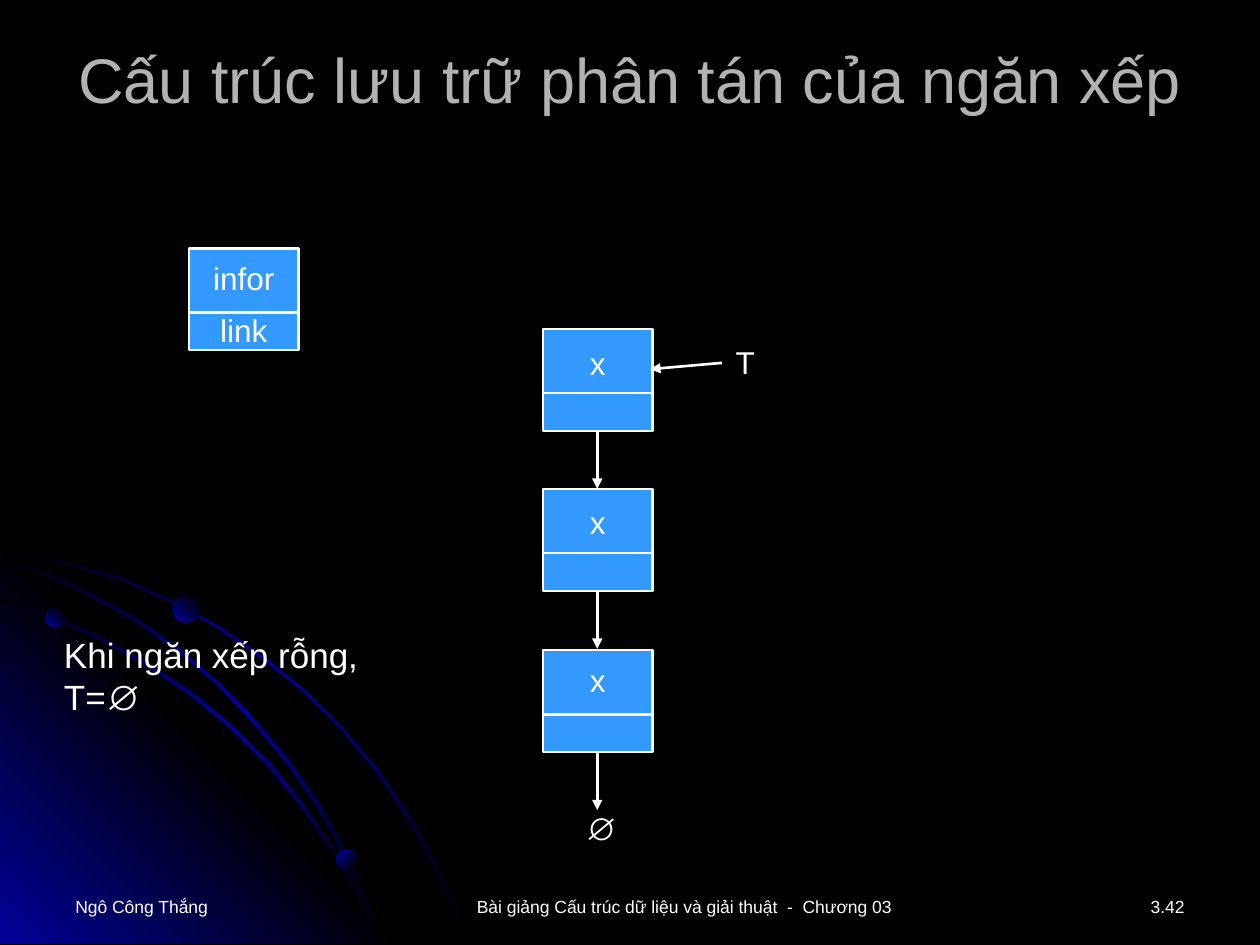
from lxml import etree
from pptx import Presentation
from pptx import util as u
from pptx.dml.color import RGBColor
from pptx.enum import shapes, text
from pptx.oxml.ns import qn

SCALE = 9144
FONT = "Arial"
COLORS = {"black": "000000", "navy": "010199", "node": "3399FF",
          "white": "FFFFFF", "title": "B2B2B2"}
NODE_WIDTH, INFO_HEIGHT, LINK_HEIGHT = 87, 51, 30
ARCS_BELOW = [
    [(57, 447), (28, 441), (0, 435), (0, 438), (28, 443), (56, 449), (97, 461),
     (135, 478), (173, 499), (208, 523), (241, 549), (271, 579), (298, 612),
     (323, 649), (337, 673), (350, 698), (360, 723), (370, 749), (372, 749),
     (362, 723), (352, 698), (339, 673), (325, 648), (300, 611), (272, 578),
     (242, 548), (209, 521), (174, 497), (136, 477), (98, 459)],
]
CORNER = [(322, 749), (0, 749), (0, 427)]
ARCS_ABOVE = [
    [(285, 714), (294, 732), (301, 749), (303, 749), (296, 730), (286, 712),
     (266, 676), (242, 640), (215, 606), (184, 576), (152, 549), (117, 526),
     (79, 505), (41, 488), (0, 475), (0, 477), (39, 490), (77, 507), (115, 528),
     (150, 551), (183, 578), (213, 608), (240, 642), (265, 677)],
    [(0, 442), (0, 444), (36, 457), (74, 475), (109, 494), (142, 518), (173, 544),
     (202, 575), (227, 605), (252, 641), (267, 667), (280, 694), (292, 722),
     (301, 749), (303, 749), (294, 720), (282, 693), (269, 665), (254, 639),
     (229, 603), (204, 573), (175, 543), (144, 516), (111, 493), (76, 473),
     (39, 455)],
]
ORBS = [(36, 483, 15, 315), (267, 674, 16, 45), (137, 473, 21, 315)]


def px(*lengths):
    """Turn px lengths into EMU."""
    return [u.Emu(length * SCALE) for length in lengths]


def rgb(name):
    """Look up a named colour."""
    return RGBColor.from_string(COLORS[name])


def fill_gradient(shape, names, angle):
    """Fill a shape with evenly spaced gradient stops and no outline."""
    shape.shadow.inherit = False
    shape.line.fill.background()
    shape.fill.gradient()
    gradient = shape.element.spPr.find(qn("a:gradFill"))
    gradient.clear()
    stops = etree.SubElement(gradient, qn("a:gsLst"))
    for index, name in enumerate(names):
        position = 100000 * index // (len(names) - 1)
        stop = etree.SubElement(stops, qn("a:gs"), pos=str(position))
        etree.SubElement(stop, qn("a:srgbClr"), val=COLORS[name])
    etree.SubElement(gradient, qn("a:lin"), ang=str(angle * 60000), scaled="0")


def add_outline(page, points, names, angle):
    """Draw a closed outline with a gradient fill."""
    builder = page.shapes.build_freeform(*points[0], scale=SCALE)
    builder.add_line_segments(points[1:], close=True)
    fill_gradient(builder.convert_to_shape(), names, angle)


def add_backdrop(page):
    """Draw the glowing corner with its arcs and orbs."""
    glow = ["black", "navy", "black"]
    for points in ARCS_BELOW:
        add_outline(page, points, glow, 45)
    add_outline(page, CORNER, ["navy", "black", "navy"], 315)
    for points in ARCS_ABOVE:
        add_outline(page, points, glow, 45)
    for left, top, size, angle in ORBS:
        orb = page.shapes.add_shape(shapes.MSO_SHAPE.OVAL, *px(left, top, size, size))
        fill_gradient(orb, ["navy", "black"], angle)


def add_text(page, words, place, size=18, color="white", align="LEFT",
             anchor="TOP", wrap=False):
    """Add a text box in the given format."""
    box = page.shapes.add_textbox(*px(*place))
    frame = box.text_frame
    frame.word_wrap = wrap
    frame.vertical_anchor = text.MSO_ANCHOR[anchor]
    para = frame.paragraphs[0]
    para.alignment = text.PP_ALIGN[align]
    span = para.add_run()
    span.text = words
    span.font.name = FONT
    span.font.size = u.Pt(size)
    span.font.color.rgb = rgb(color)


def add_node(page, left, top):
    """Draw a list node: a link cell under an info cell."""
    for offset, height in ((INFO_HEIGHT, LINK_HEIGHT), (0, INFO_HEIGHT)):
        cell = page.shapes.add_shape(shapes.MSO_SHAPE.RECTANGLE,
                                     *px(left, top + offset, NODE_WIDTH, height))
        cell.shadow.inherit = False
        cell.fill.solid()
        cell.fill.fore_color.rgb = rgb("node")
        cell.line.color.rgb = rgb("white")
        cell.line.width = u.Pt(1.5)


def add_arrow(page, *ends):
    """Draw a white line with a triangle at its far end."""
    arrow = page.shapes.add_connector(shapes.MSO_CONNECTOR.STRAIGHT, *px(*ends))
    arrow.line.color.rgb = rgb("white")
    arrow.line.width = u.Pt(1.5)
    etree.SubElement(arrow.line._get_or_add_ln(), qn("a:tailEnd"), type="triangle")
    etree.SubElement(arrow.element.spPr, qn("a:effectLst"))


def add_legend(page, left, top):
    """Draw a node whose two cells carry their names."""
    add_node(page, left, top)
    for words, offset in (("infor", 4), ("link", 45)):
        add_text(page, words, (left, top + offset, NODE_WIDTH, 40), align="CENTER")


def add_stack(page):
    """Draw the three linked nodes, the top pointer and the empty end."""
    for index in range(3):
        top = 261 + 255 * index // 2
        bottom = top + INFO_HEIGHT + LINK_HEIGHT
        add_node(page, 431, top)
        add_text(page, "x", (431, 268 + 126 * index, NODE_WIDTH, 40), align="CENTER")
        add_arrow(page, 474, bottom, 474, bottom + 46)
    add_text(page, "∅", (455, 637, 40, 40))
    add_text(page, "T", (574, 267, 35, 40))
    add_arrow(page, 573, 288, 516, 293)


def main():
    """Build the slide and save it."""
    deck = Presentation()
    deck.slide_width, deck.slide_height = px(1000, 750)
    page = deck.slides.add_slide(deck.slide_layouts[6])
    page.background.fill.solid()
    page.background.fill.fore_color.rgb = rgb("black")
    add_backdrop(page)
    add_text(page, "Cấu trúc lưu trữ phân tán của ngăn xếp", (50, 30, 900, 65),
             size=36, color="title", align="CENTER", anchor="MIDDLE", wrap=True)
    add_legend(page, 150, 197)
    add_stack(page)
    add_text(page, "Khi ngăn xếp rỗng, T=∅", (41, 498, 317, 44), size=20, wrap=True)
    footers = [("Ngô Công Thắng", 50, 233, "LEFT"),
               ("Bài giảng Cấu trúc dữ liệu và giải thuật  -  Chương 03", 296, 494, "CENTER"),
               ("3.42", 804, 146, "RIGHT")]
    for words, left, width, align in footers:
        add_text(page, words, (left, 706, width, 30), size=10, align=align, wrap=True)
    deck.save("out.pptx")


if __name__ == "__main__":
    main()
